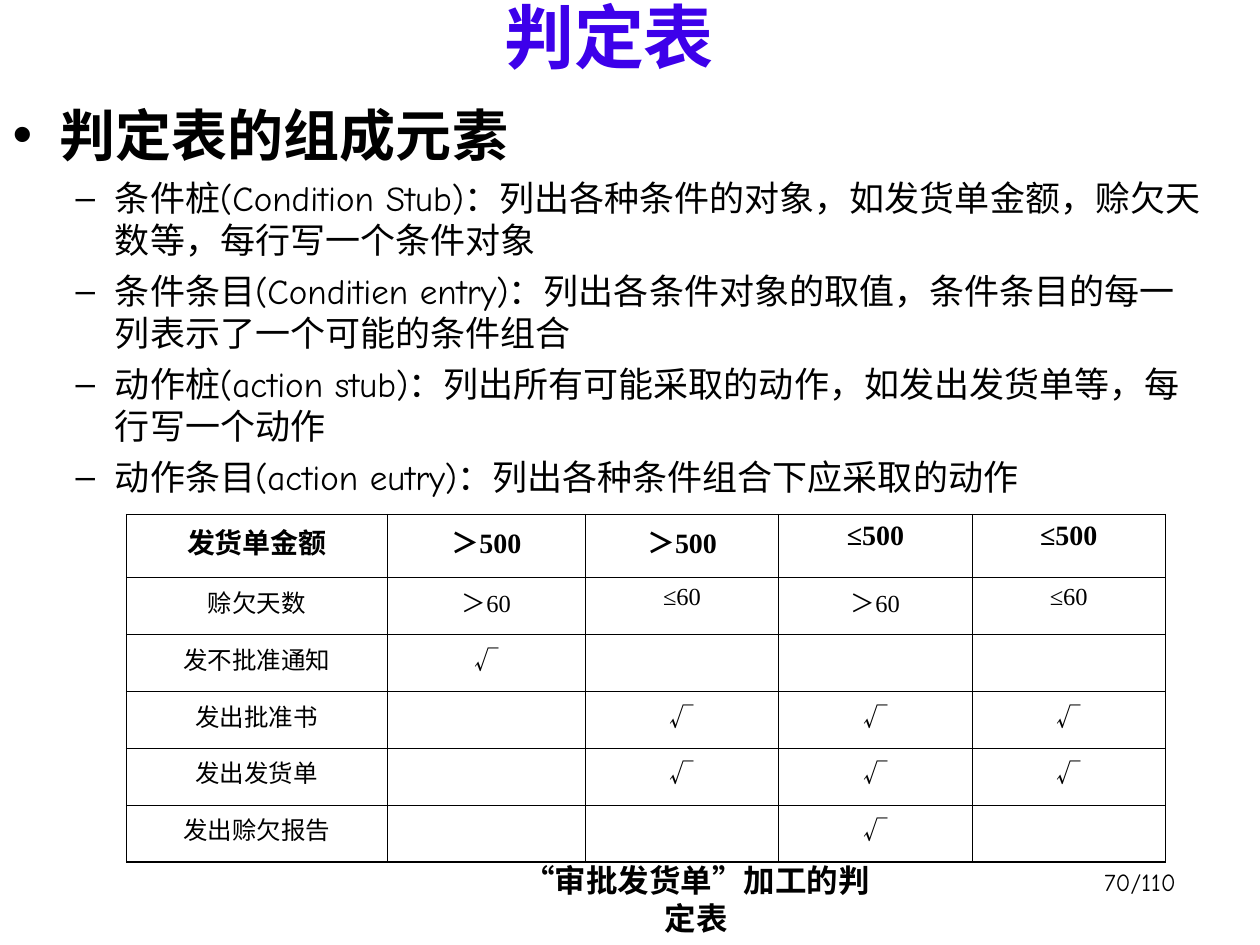
from dataclasses import dataclass

from lxml import etree
from pptx import Presentation
from pptx.dml.color import RGBColor
from pptx.enum.text import MSO_ANCHOR, MSO_AUTO_SIZE, PP_ALIGN
from pptx.oxml.ns import qn
from pptx.util import Pt

CENTER, RIGHT = PP_ALIGN.CENTER, PP_ALIGN.RIGHT
TOP, MIDDLE, BOTTOM = MSO_ANCHOR.TOP, MSO_ANCHOR.MIDDLE, MSO_ANCHOR.BOTTOM
NO_FIT = MSO_AUTO_SIZE.NONE


@dataclass(frozen=True)
class Theme:
    ink: str = "000000"
    title_color: str = "3D00EA"
    hand: str = "Comic Neue"
    serif: str = "Times New Roman"
    cjk: str = "Noto Sans CJK SC"
    title: float = 40
    heading: float = 32
    item: float = 20
    caption: float = 18
    header: float = 16
    cell: float = 14
    hair: float = 0.34
    thin: float = 0.45
    thick: float = 0.96


@dataclass(frozen=True)
class Level:
    char: str
    margin: float
    hanging: float
    size: float
    bold: bool
    before: float


THEME = Theme()
HEADING = Level("•", 27, 27, THEME.heading, True, 0)
ITEM = Level("–", 58.5, 22.5, THEME.item, False, 5)

ELEMENTS = [
    "条件桩(Condition Stub)：列出各种条件的对象，如发货单金额，赊欠天数等，每行写一个条件对象",
    "条件条目(Conditien entry)：列出各条件对象的取值，条件条目的每一列表示了一个可能的条件组合",
    "动作桩(action stub)：列出所有可能采取的动作，如发出发货单等，每行写一个动作",
    "动作条目(action eutry)：列出各种条件组合下应采取的动作",
]
DECISIONS = [
    ["发货单金额", "＞500", "＞500", "≤500", "≤500"],
    ["赊欠天数", "＞60", "≤60", "＞60", "≤60"],
    ["发不批准通知", "√", "", "", ""],
    ["发出批准书", "", "√", "√", "√"],
    ["发出发货单", "", "√", "√", "√"],
    ["发出赊欠报告", "", "", "√", ""],
]
COLUMN_WIDTHS = [149.5, 113, 110.5, 110.5, 110.5]
HEADER_HEIGHT, ROW_HEIGHT = 36, 32.5


def place(sp, left: float, top: float, width: float, height: float) -> None:
    sp.left, sp.top, sp.width, sp.height = map(Pt, (left, top, width, height))


def format_runs(p, size: float, font: str, bold: bool = False,
                color: str = THEME.ink) -> None:
    for r in p.runs:
        r.font.size, r.font.bold, r.font.name = Pt(size), bold, font
        r.font.color.rgb = RGBColor.from_string(color)
        latin = r.font._element.find(qn("a:latin"))
        latin.addnext(etree.Element(qn("a:ea"), typeface=THEME.cjk))


def add_title(s, text: str) -> None:
    sp = s.shapes.title
    place(sp, 24, 0, 648, 48)
    tf = sp.text_frame
    tf.text = text
    tf.auto_size, tf.vertical_anchor = NO_FIT, BOTTOM
    p = tf.paragraphs[0]
    p.alignment = CENTER
    format_runs(p, THEME.title, THEME.hand, True, THEME.title_color)


def format_bullet(p, level: Level) -> None:
    props = p._p.get_or_add_pPr()
    props.set("marL", str(Pt(level.margin)))
    props.set("indent", str(-Pt(level.hanging)))
    etree.SubElement(props, qn("a:buChar"), char=level.char)
    p.space_before = Pt(level.before)
    format_runs(p, level.size, THEME.hand, level.bold)


def add_body(s, heading: str, items: list[str]) -> None:
    sp = s.placeholders[1]
    place(sp, 0, 54, 696, 438)
    tf = sp.text_frame
    tf.text = heading
    tf.auto_size, tf.vertical_anchor = NO_FIT, TOP
    format_bullet(tf.paragraphs[0], HEADING)
    for item in items:
        p = tf.add_paragraph()
        p.text, p.level = item, 1
        format_bullet(p, ITEM)


def add_label(s, text: str, box: tuple, align, anchor, size: float, font: str,
              bold: bool = False) -> None:
    tf = s.shapes.add_textbox(*map(Pt, box)).text_frame
    tf.text = text
    tf.word_wrap, tf.vertical_anchor = True, anchor
    p = tf.paragraphs[0]
    p.alignment = align
    format_runs(p, size, font, bold)


def set_borders(cell, widths: dict[str, float]) -> None:
    """Insert the border lines ahead of the cell's fill, as the schema asks."""
    props = cell._tc.get_or_add_tcPr()
    for i, (side, width) in enumerate(widths.items()):
        line = etree.Element(qn(f"a:ln{side}"), w=str(Pt(width)))
        fill = etree.SubElement(line, qn("a:solidFill"))
        etree.SubElement(fill, qn("a:srgbClr"), val=THEME.ink)
        props.insert(i, line)


def fill_cell(cell, text: str, is_header: bool) -> None:
    cell.fill.background()
    cell.text = text
    p = cell.text_frame.paragraphs[0]
    p.alignment = CENTER
    size = THEME.header if is_header else THEME.cell
    if text:
        font = THEME.cjk if text == "√" else THEME.serif
        format_runs(p, size, font, is_header)
    else:
        etree.SubElement(p._p, qn("a:endParaRPr"), sz=str(size * 100))


def add_decision_table(s) -> None:
    rows, cols = len(DECISIONS), len(COLUMN_WIDTHS)
    height = HEADER_HEIGHT + ROW_HEIGHT * (rows - 1)
    table = s.shapes.add_table(rows, cols, Pt(72), Pt(294),
                               Pt(sum(COLUMN_WIDTHS)), Pt(height)).table
    table.first_row = table.horz_banding = False
    for column, width in zip(table.columns, COLUMN_WIDTHS):
        column.width = Pt(width)
    verticals = [THEME.hair, THEME.thick] + [THEME.thin] * (cols - 2) + [THEME.hair]
    horizontals = [THEME.thick if i in (0, 2, rows) else THEME.thin
                   for i in range(rows + 1)]
    for i, texts in enumerate(DECISIONS):
        table.rows[i].height = Pt(ROW_HEIGHT if i else HEADER_HEIGHT)
        for j, text in enumerate(texts):
            cell = table.cell(i, j)
            fill_cell(cell, text, i == 0)
            set_borders(cell, {"L": verticals[j], "R": verticals[j + 1],
                               "T": horizontals[i], "B": horizontals[i + 1]})


def main() -> None:
    prs = Presentation()
    prs.slide_width, prs.slide_height = Pt(720), Pt(540)
    s = prs.slides.add_slide(prs.slide_layouts[1])
    add_title(s, "判定表")
    add_body(s, "判定表的组成元素", ELEMENTS)
    add_label(s, "70/110", (529, 492, 150, 36), RIGHT, TOP, THEME.cell, THEME.hand)
    add_label(s, "“审批发货单”加工的判定表", (283, 499, 230, 29), CENTER, MIDDLE,
              THEME.caption, THEME.serif, True)
    add_decision_table(s)
    prs.save("out.pptx")


if __name__ == "__main__":
    main()
